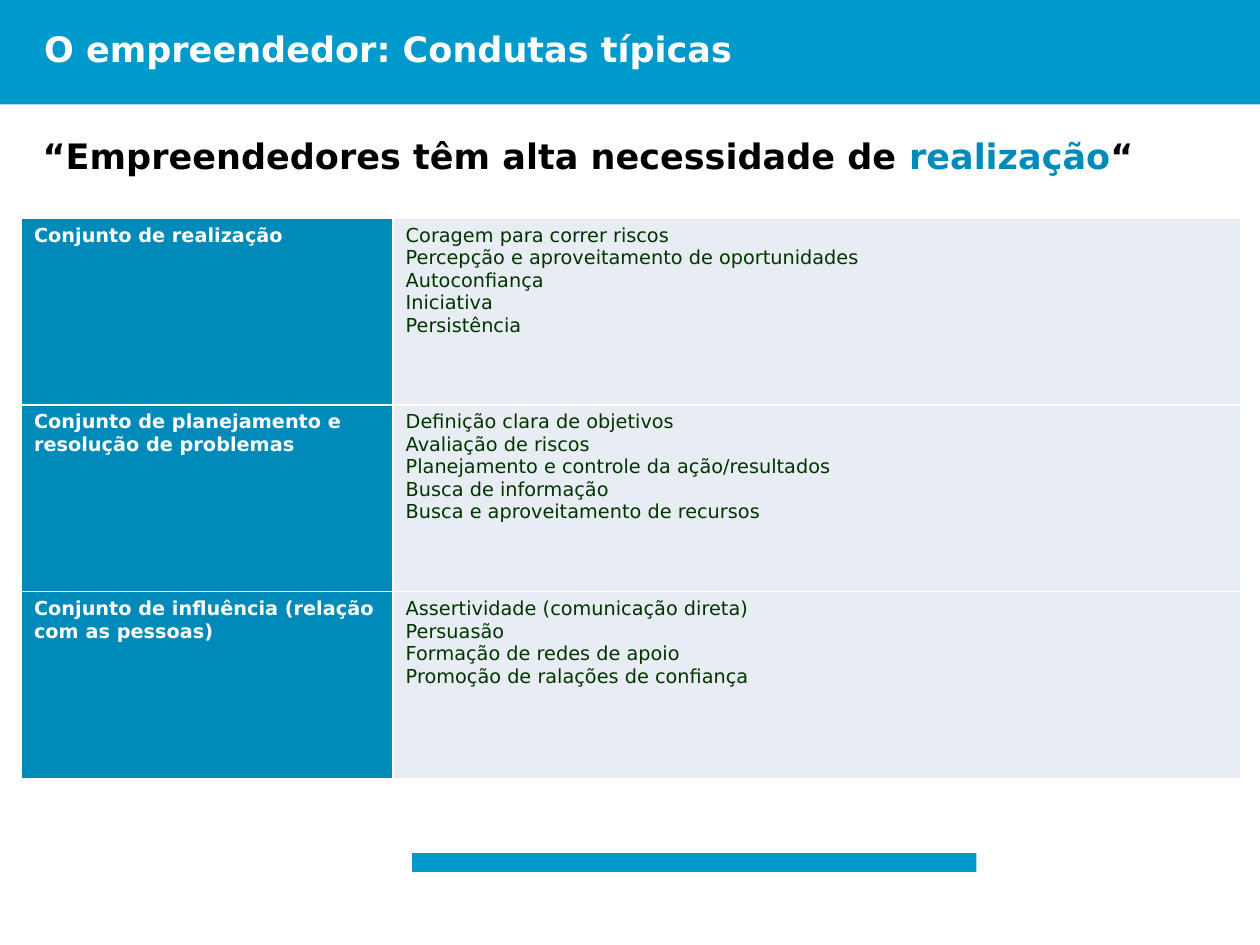
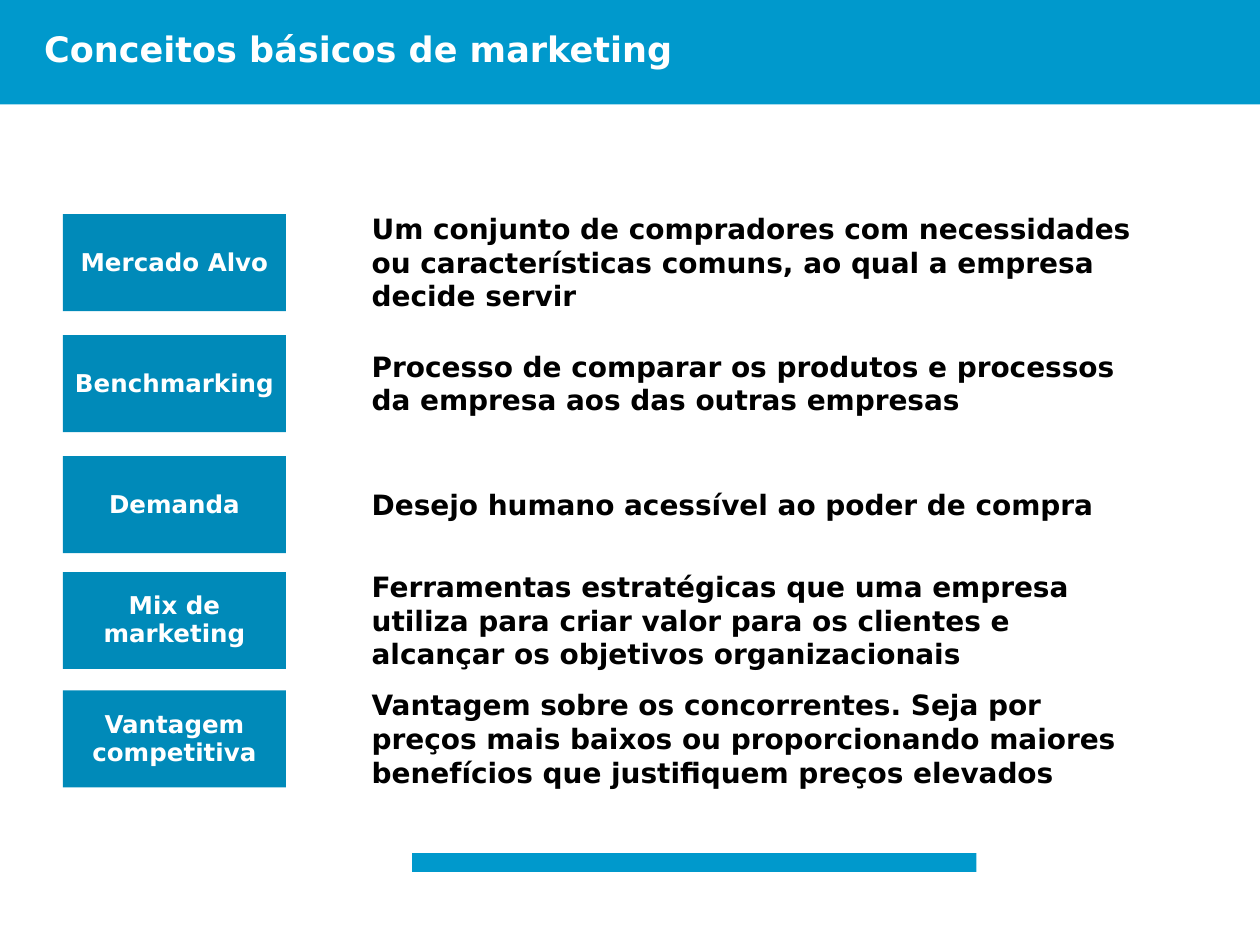
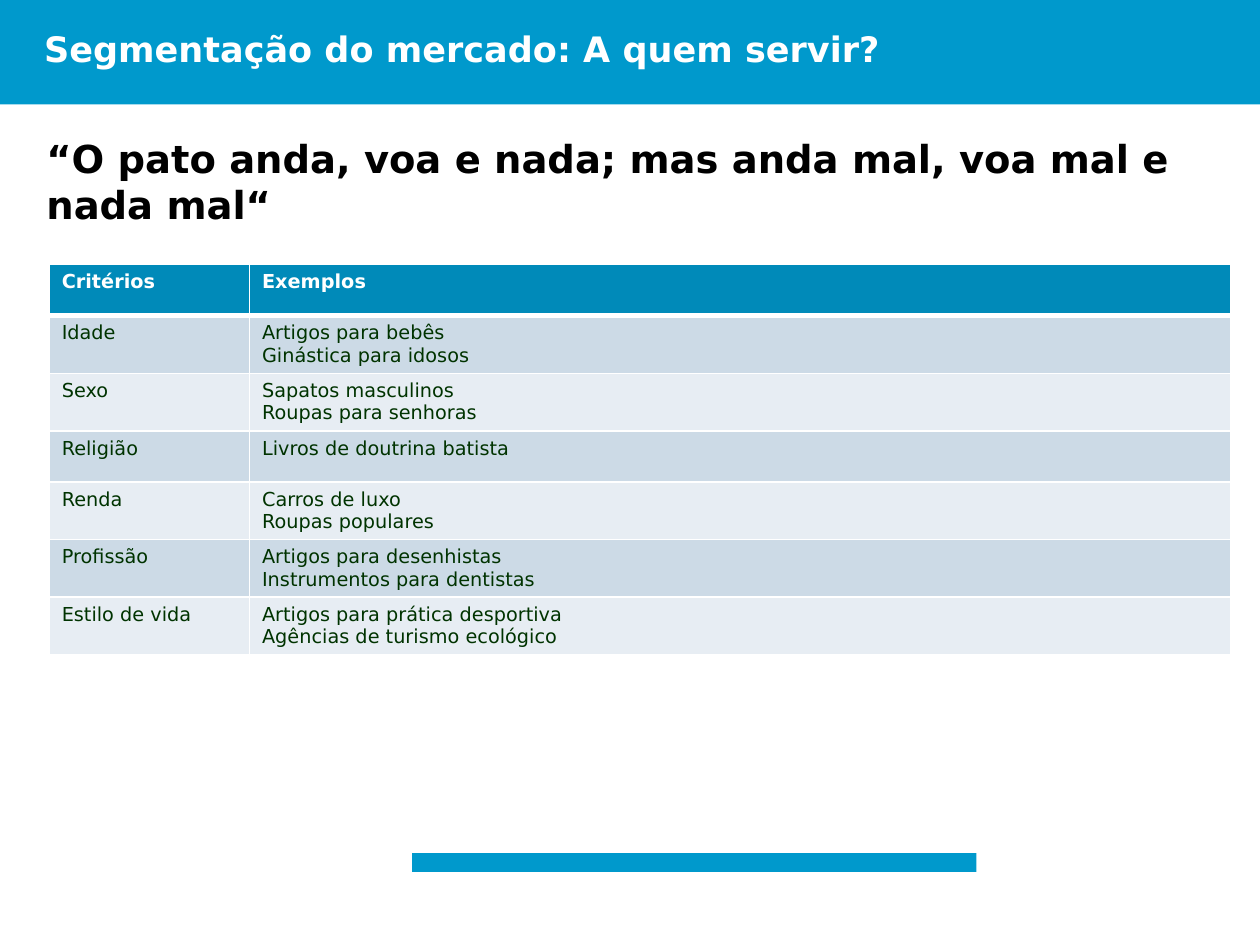
from dataclasses import dataclass
from typing import Any, Optional, Sequence

import pptx
import pptx.dml.color
import pptx.enum.shapes
import pptx.enum.text
import pptx.oxml.xmlchemy
import pptx.util

ANCHOR = pptx.enum.text.MSO_ANCHOR
ALIGN = pptx.enum.text.PP_ALIGN
TITLE_ONLY = 5


# Theme: colours and type sizes in one place
@dataclass(frozen=True)
class Theme:
    font: str = "DejaVu Sans"
    band: str = "0099CC"
    accent: str = "008AB9"
    white: str = "FFFFFF"
    black: str = "000000"
    ink: str = "003300"
    stripe_dark: str = "CCDAE6"
    stripe_light: str = "E7EDF3"
    title_size: float = 20
    long_quote_size: float = 22
    meaning_size: float = 16
    term_size: float = 14
    table_size: float = 11
    rule: float = 1
    header_rule: float = 3


THEME = Theme()

# Grid: 100 columns by 75 rows of square cells
SLIDE_WIDTH = pptx.util.Inches(10)
SLIDE_HEIGHT = pptx.util.Inches(7.5)
CELL = SLIDE_WIDTH // 100


@dataclass(frozen=True)
class Area:
    column: float
    row: float
    columns: float
    rows: float

    def lengths(self) -> tuple[int, int, int, int]:
        left, top, width, height = (
            round(CELL * value)
            for value in (self.column, self.row, self.columns, self.rows))
        return left, top, width, height


@dataclass(frozen=True)
class Span:
    text: str
    color: str


@dataclass(frozen=True)
class Concept:
    row: float
    term: str
    meaning: str


@dataclass(frozen=True)
class CellStyle:
    fill: str
    color: str
    bold: bool = False
    top_rule: float = THEME.rule
    bottom_rule: float = THEME.rule


HEADER_BAND = Area(0, 0, 100, 8.3)
FOOTER_BAND = Area(32.7, 67.7, 44.8, 1.5)
TITLE_AREA = Area(2.5, 1.7, 93.3, 4.2)


def rgb(color: str) -> pptx.dml.color.RGBColor:
    return pptx.dml.color.RGBColor.from_string(color)


# Text
def write(frame: Any, paragraphs: Sequence[Sequence[Span]], *, size: float,
          bold: bool = True, align: Any = ALIGN.LEFT, anchor: Any = ANCHOR.TOP,
          margins: tuple[float, float] = (0.1, 0.05),
          line_spacing: Optional[float] = None) -> None:
    """Fill a text frame; margins are horizontal and vertical inches."""
    frame.word_wrap = True
    frame.auto_size = pptx.enum.text.MSO_AUTO_SIZE.NONE
    frame.vertical_anchor = anchor
    frame.margin_left = frame.margin_right = pptx.util.Inches(margins[0])
    frame.margin_top = frame.margin_bottom = pptx.util.Inches(margins[1])
    write_paragraphs(frame, paragraphs, size=size, bold=bold, align=align,
                     line_spacing=line_spacing)


def write_paragraphs(frame: Any, paragraphs: Sequence[Sequence[Span]], *,
                     size: float, bold: bool, align: Any = ALIGN.LEFT,
                     line_spacing: Optional[float] = None) -> None:
    for index, spans in enumerate(paragraphs):
        para = frame.add_paragraph() if index else frame.paragraphs[0]
        para.alignment = align
        if line_spacing:
            para.line_spacing = line_spacing
        for span in spans:
            run = para.add_run()
            run.text = span.text
            run.font.name = THEME.font
            run.font.size = pptx.util.Pt(size)
            run.font.bold = bold
            run.font.color.rgb = rgb(span.color)


# Shapes
def add_block(page: Any, area: Area, color: str, opacity: int = 100) -> Any:
    box = page.shapes.add_shape(
        pptx.enum.shapes.MSO_SHAPE.RECTANGLE, *area.lengths())
    box.shadow.inherit = False
    box.line.fill.background()
    box.fill.solid()
    box.fill.fore_color.rgb = rgb(color)
    if opacity < 100:
        for paint in box.element.spPr.iter(pptx.oxml.ns.qn("a:srgbClr")):
            alpha = pptx.oxml.xmlchemy.OxmlElement("a:alpha")
            alpha.set("val", str(opacity * 1000))
            paint.append(alpha)
    return box


def add_quote(page: Any, area: Area, spans: Sequence[Span],
              size: float) -> None:
    box = add_block(page, area, THEME.white, opacity=50)
    write(box.text_frame, [spans], size=size)


def add_concept(page: Any, concept: Concept) -> None:
    label = add_block(page, Area(5, concept.row, 17.7, 7.7), THEME.accent)
    write(label.text_frame, [[Span(concept.term, THEME.white)]],
          size=THEME.term_size, align=ALIGN.CENTER, anchor=ANCHOR.MIDDLE,
          margins=(0.08, 0.08), line_spacing=0.95)
    box = add_block(page, Area(27.5, concept.row, 65.1, 7.6), THEME.white,
                    opacity=50)
    write(box.text_frame, [[Span(concept.meaning, THEME.black)]],
          size=THEME.meaning_size, anchor=ANCHOR.MIDDLE, margins=(0.2, 0))


# Tables
def rule_cell(cell: Any, style: CellStyle) -> None:
    widths = {"L": THEME.rule, "R": THEME.rule,
              "T": style.top_rule, "B": style.bottom_rule}
    properties = cell._tc.get_or_add_tcPr()
    for index, (side, width) in enumerate(widths.items()):
        line = pptx.oxml.xmlchemy.OxmlElement(f"a:ln{side}")
        line.set("w", str(pptx.util.Pt(width)))
        solid = pptx.oxml.xmlchemy.OxmlElement("a:solidFill")
        paint = pptx.oxml.xmlchemy.OxmlElement("a:srgbClr")
        paint.set("val", THEME.white)
        solid.append(paint)
        line.append(solid)
        properties.insert(index, line)


def add_grid_table(page: Any, area: Area, first_columns: float,
                   rows: Sequence[tuple[str, Sequence[str]]],
                   styles: Sequence[tuple[CellStyle, CellStyle]]) -> None:
    """Draw label and list rows; the area's rows are shared out equally."""
    table = page.shapes.add_table(len(rows), 2, *area.lengths()).table
    table.horz_banding = False
    table.first_row = False
    table.columns[0].width = round(CELL * first_columns)
    table.columns[1].width = round(CELL * (area.columns - first_columns))
    for row_index, (label, items) in enumerate(rows):
        for column, lines in enumerate(([label], items)):
            cell = table.cell(row_index, column)
            style = styles[row_index][column]
            cell.fill.solid()
            cell.fill.fore_color.rgb = rgb(style.fill)
            rule_cell(cell, style)
            write_paragraphs(
                cell.text_frame, [[Span(line, style.color)] for line in lines],
                size=THEME.table_size, bold=style.bold)


# Pages
def add_page(deck: Any, title: str) -> Any:
    page = deck.slides.add_slide(deck.slide_layouts[TITLE_ONLY])
    box = page.shapes.title
    box.left, box.top, box.width, box.height = TITLE_AREA.lengths()
    write(box.text_frame, [[Span(title, THEME.white)]], size=THEME.title_size)
    return page


def move_bands_to_layout(page: Any) -> None:
    """Put the shared bands behind everything on the page's layout."""
    tree = page.slide_layout.element.cSld.spTree
    for index, area in enumerate((HEADER_BAND, FOOTER_BAND)):
        band = add_block(page, area, THEME.band)
        tree.insert(2 + index, band.element)


def build_conduct(deck: Any) -> None:
    page = add_page(deck, "O empreendedor: Condutas típicas")
    move_bands_to_layout(page)
    add_quote(page, Area(2.4, 10.2, 94.5, 5.7), [
        Span("“Empreendedores têm alta necessidade de ", THEME.black),
        Span("realização", THEME.accent),
        Span("“", THEME.black),
    ], THEME.title_size)
    rows = [
        ("Conjunto de realização", [
            "Coragem para correr riscos",
            "Percepção e aproveitamento de oportunidades",
            "Autoconfiança", "Iniciativa", "Persistência"]),
        ("Conjunto de planejamento e resolução de problemas", [
            "Definição clara de objetivos", "Avaliação de riscos",
            "Planejamento e controle da ação/resultados",
            "Busca de informação", "Busca e aproveitamento de recursos"]),
        ("Conjunto de influência (relação com as pessoas)", [
            "Assertividade (comunicação direta)", "Persuasão",
            "Formação de redes de apoio",
            "Promoção de ralações de confiança"]),
    ]
    label = CellStyle(THEME.accent, THEME.white, bold=True)
    body = CellStyle(THEME.stripe_light, THEME.ink)
    add_grid_table(page, Area(1.7, 17.3, 96.8, 44.5), 29.5, rows,
                   [(label, body)] * len(rows))


def build_concepts(deck: Any) -> None:
    page = add_page(deck, "Conceitos básicos de marketing")
    for concept in (
        Concept(17, "Mercado Alvo",
                "Um conjunto de compradores com necessidades ou "
                "características comuns, ao qual a empresa decide servir"),
        Concept(26.6, "Benchmarking",
                "Processo de comparar os produtos e processos da empresa "
                "aos das outras empresas"),
        Concept(36.2, "Demanda",
                "Desejo humano acessível ao poder de compra"),
        Concept(45.4, "Mix de marketing",
                "Ferramentas estratégicas que uma empresa utiliza para criar "
                "valor para os clientes e alcançar os objetivos "
                "organizacionais"),
        Concept(54.8, "Vantagem competitiva",
                "Vantagem sobre os concorrentes. Seja por preços mais baixos "
                "ou proporcionando maiores benefícios que justifiquem preços "
                "elevados"),
    ):
        add_concept(page, concept)


def build_segments(deck: Any) -> None:
    page = add_page(deck, "Segmentação do mercado: A quem servir?")
    add_quote(page, Area(2.7, 10.2, 94.5, 9.4), [
        Span("“O pato anda, voa e nada; mas anda mal, voa mal e nada mal“",
             THEME.black)], THEME.long_quote_size)
    rows = [
        ("Critérios", ["Exemplos"]),
        ("Idade", ["Artigos para bebês", "Ginástica para idosos"]),
        ("Sexo", ["Sapatos masculinos", "Roupas para senhoras"]),
        ("Religião", ["Livros de doutrina batista"]),
        ("Renda", ["Carros de luxo", "Roupas populares"]),
        ("Profissão", ["Artigos para desenhistas",
                       "Instrumentos para dentistas"]),
        ("Estilo de vida", ["Artigos para prática desportiva",
                            "Agências de turismo ecológico"]),
    ]
    header = CellStyle(THEME.accent, THEME.white, bold=True,
                       bottom_rule=THEME.header_rule)
    styles = [header]
    for index in range(1, len(rows)):
        styles.append(CellStyle(
            THEME.stripe_dark if index % 2 else THEME.stripe_light, THEME.ink,
            top_rule=THEME.header_rule if index == 1 else THEME.rule))
    add_grid_table(page, Area(3.9, 21, 93.8, 28.4), 15.9, rows,
                   [(style, style) for style in styles])


def main() -> None:
    deck = pptx.Presentation()
    deck.slide_width = SLIDE_WIDTH
    deck.slide_height = SLIDE_HEIGHT
    build_conduct(deck)
    build_concepts(deck)
    build_segments(deck)
    deck.save("out.pptx")


main()
